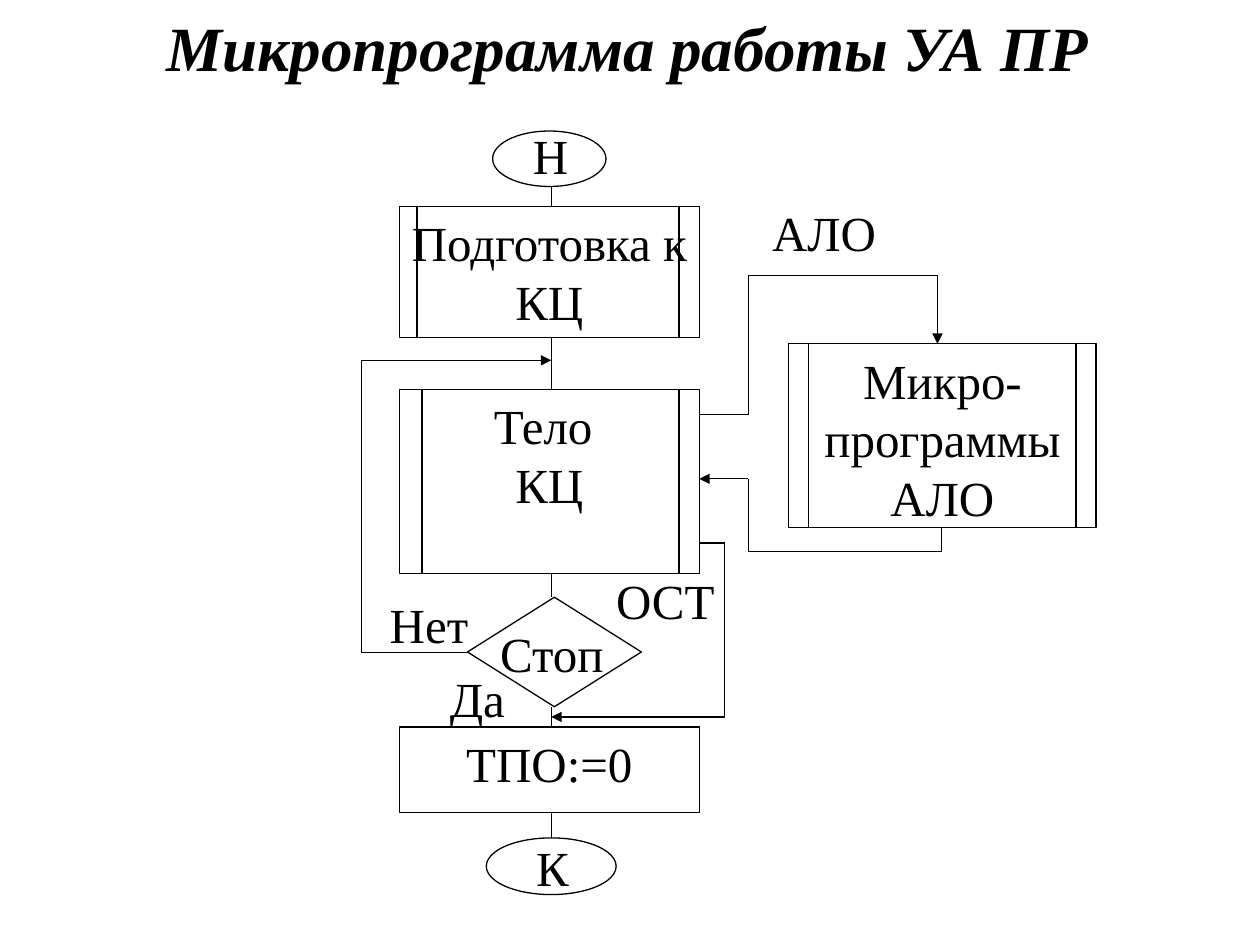
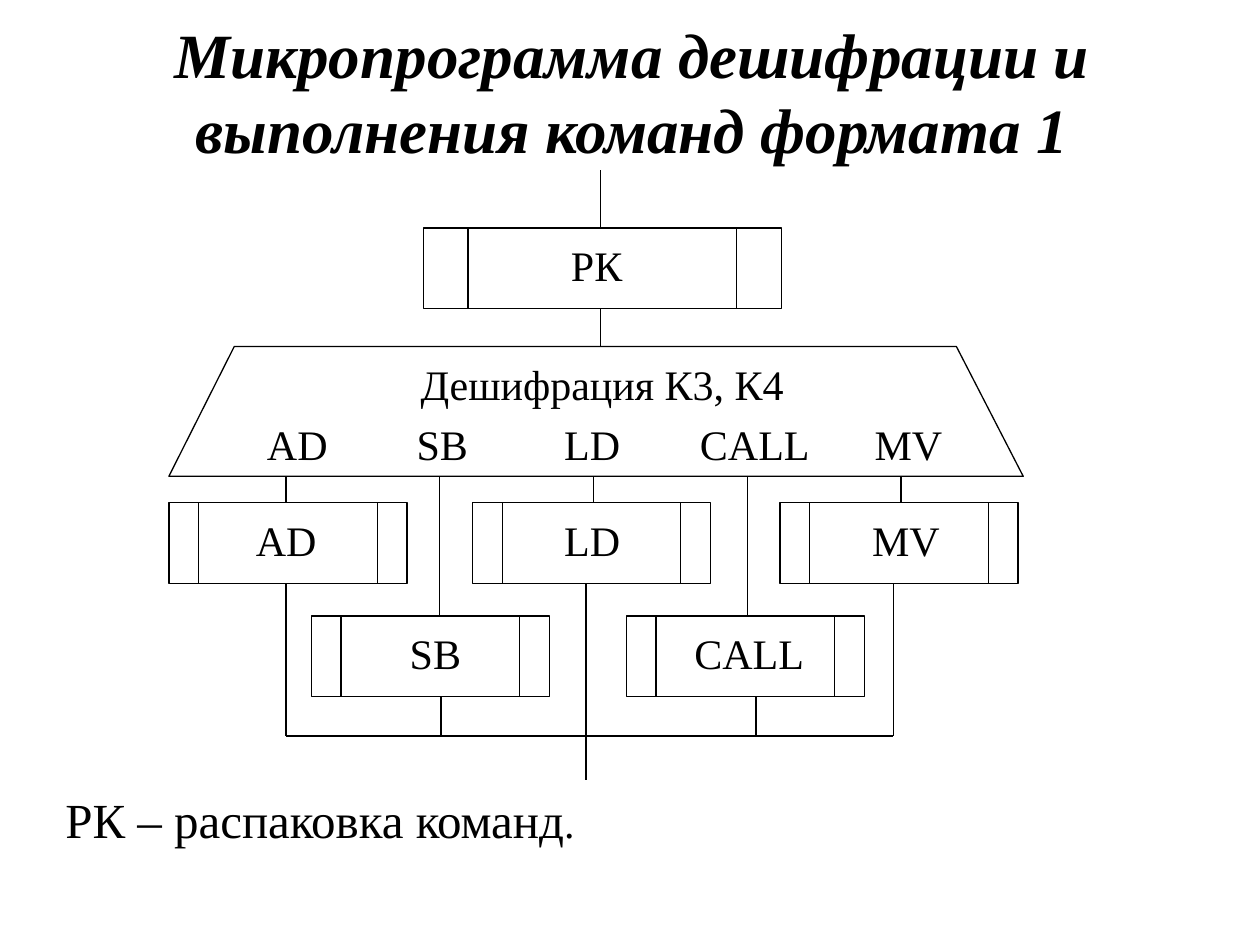
from dataclasses import dataclass
from itertools import pairwise
from typing import Any

from lxml.etree import SubElement
from pptx import Presentation
from pptx.dml.color import RGBColor
from pptx.enum.shapes import MSO_CONNECTOR, MSO_SHAPE
from pptx.enum.text import MSO_ANCHOR, PP_ALIGN
from pptx.oxml.ns import qn
from pptx.util import Pt

INK = RGBColor(0, 0, 0)
FONT = "Times New Roman"
LINE_WIDTH = Pt(0.74)
TITLE_SIZE, FLOW_SIZE, DECODER_SIZE = 36, 28, 24


def write(frame, text, size, align=PP_ALIGN.CENTER):
    frame.word_wrap = True
    frame.text = text
    paragraph = frame.paragraphs[0]
    paragraph.alignment = align
    paragraph.font.name = FONT
    paragraph.font.size = Pt(size)
    paragraph.font.color.rgb = INK
    return paragraph


def outline(shape):
    shape.shadow.inherit = False
    shape.fill.background()
    shape.line.color.rgb = INK
    shape.line.width = LINE_WIDTH


@dataclass
class Region:
    """A part of a slide; all places are points from its left top corner."""
    slide: Any
    left: float
    top: float
    size: int

    def place(self, x, y):
        return Pt(self.left + x), Pt(self.top + y)

    def label(self, text, x, y, width, height=36):
        box = self.slide.shapes.add_textbox(*self.place(x, y), Pt(width), Pt(height))
        return write(box.text_frame, text, self.size)

    def node(self, kind, x, y, width, height, text=None):
        shape = self.slide.shapes.add_shape(kind, *self.place(x, y), Pt(width), Pt(height))
        outline(shape)
        if text:
            shape.text_frame.vertical_anchor = MSO_ANCHOR.TOP
            write(shape.text_frame, text, self.size)

    def route(self, *points, arrow=False):
        """Straight lines through the points, with an optional arrow at the end."""
        for start, end in pairwise(points):
            link = self.slide.shapes.add_connector(
                MSO_CONNECTOR.STRAIGHT, *self.place(*start), *self.place(*end))
            link.line.color.rgb = INK
            link.line.width = LINE_WIDTH
            SubElement(link._element.spPr, qn("a:effectLst"))
        if arrow:
            SubElement(link.line._get_or_add_ln(), qn("a:tailEnd"), type="triangle")

    def vertical(self, x, top, bottom):
        self.route((x, top), (x, bottom))

    def polygon(self, points):
        start, *rest = [self.place(*point) for point in points]
        builder = self.slide.shapes.build_freeform(*start)
        builder.add_line_segments(rest, close=True)
        outline(builder.convert_to_shape())


def add_title(slide, text, left, top, width, height):
    box = slide.shapes.add_textbox(Pt(left), Pt(top), Pt(width), Pt(height))
    box.text_frame.vertical_anchor = MSO_ANCHOR.MIDDLE
    paragraph = write(box.text_frame, text, TITLE_SIZE)
    paragraph.font.bold = paragraph.font.italic = True


def add_main_cycle(slide, left, top, width):
    flow = Region(slide, left, top, FLOW_SIZE)
    axis = 86.8

    # Start and end
    flow.node(MSO_SHAPE.OVAL, 53.3, 0, 64.8, 31.7)
    flow.label("Н", 27.4, -6.5, 118, 43.2)
    flow.node(MSO_SHAPE.OVAL, 49.7, 403.9, 74.2, 32.4)
    flow.label("К", 38.2, 400.3, 98.6)

    # Steps, with the side bars of subroutines
    for text, y, height, bars in [
        ("Подготовка к КЦ", 43.2, 74.9, (10.1, 159.8)),
        ("Тело \vКЦ", 147.6, 105.1, (13, 159.8)),
        ("ТПО:=0", 340.6, 49, ()),
    ]:
        flow.node(MSO_SHAPE.RECTANGLE, 0, y, width, height, text)
        for bar in bars:
            flow.vertical(bar, y, y + height)

    # Stop decision
    flow.node(MSO_SHAPE.DIAMOND, 38.9, 266.4, 99.4, 62.6)
    flow.label("Стоп", 38.9, 277.9, 96.5)
    flow.label("Да", 21.6, 303.8, 46.1)
    flow.label("Нет", -13, 261.4, 59.8)
    flow.label("ОСТ", 106.6, 247.7, 90.7)

    # Links down the axis
    for y, end in [(31.7, 43.2), (118.1, 147.6), (252.7, 266.4),
                   (329, 340.6), (389.6, 403.9)]:
        flow.vertical(axis, y, end)

    # Loop back, and exit past the decision
    flow.route((38.9, 298.1), (-21.6, 298.1), (-21.6, 131), (axis, 131), arrow=True)
    flow.route((width, 235.4), (185.8, 235.4), (185.8, 334.8), (axis, 334.8), arrow=True)


def add_alo_branch(slide, left, top):
    branch = Region(slide, left, top, FLOW_SIZE)
    x, y, width, height = 51.1, 84.2, 175.7, 105.1
    turn = 28.1
    branch.label("АЛО", 25.9, 0, 90.7)
    branch.node(MSO_SHAPE.RECTANGLE, x, y, width, height, "Микро-программы АЛО")
    for bar in (x + 11.5, x + width - 11.5):
        branch.vertical(bar, y, y + height)

    # Call and return
    branch.route((0, 124.6), (turn, 124.6), (turn, 45), (136.1, 45), (136.1, y), arrow=True)
    branch.route((138.5, y + height), (138.5, 203), (turn, 203), (turn, 161.3),
                 (0, 161.3), arrow=True)


def add_decoder(slide, left, top):
    chart = Region(slide, left, top, DECODER_SIZE)
    subroutine = MSO_SHAPE.FLOWCHART_PREDEFINED_PROCESS
    box_width, box_height, label_width = 136.1, 46.1, 110
    entry, base, bus = 246.6, 175, 323.3

    # Unpacking
    chart.vertical(entry, 0, 33.1)
    chart.node(subroutine, 145.4, 33.1, 204.5, box_height)
    chart.label("РК", 172.8, 36, 143.3)
    chart.vertical(entry, 79.2, 101)

    # Decoding
    chart.polygon([(0, base), (37.4, 100.8), (450, 100.8), (488.2, base)])
    chart.label("Дешифрация К3, К4", 58.3, 104.4, 378.7)

    # Commands: output label centre, box left, box label centre, exit
    commands = [
        ("AD", 73.4, 0, 67, 67),
        ("SB", 156.2, 81.4, 152.3, 155.5),
        ("LD", 241.9, 173.5, 241.9, 238.3),
        ("CALL", 334.8, 261.4, 331.6, 335.5),
        ("MV", 422.6, 349.2, 421.2, 414),
    ]
    for i, (name, output, box_left, centre, exit_x) in enumerate(commands):
        y = 254.9 if i % 2 else 190.1
        chart.label(name, output - label_width / 2, 138.2, label_width)
        chart.node(subroutine, box_left, y, box_width, box_height)
        chart.label(name, centre - label_width / 2, y + 3.2, label_width)
        chart.vertical(67 + 87.84 * i, base, y)
        chart.vertical(exit_x, y + box_height, bus)

    # Common exit
    chart.route((67, bus), (414, bus))
    chart.vertical(238.3, bus, 348.5)


def add_legend(slide, left, top, width, height):
    box = slide.shapes.add_textbox(Pt(left), Pt(top), Pt(width), Pt(height))
    legend = write(box.text_frame, "РК – распаковка команд", FLOW_SIZE, PP_ALIGN.JUSTIFY)
    legend.line_spacing = 0.8
    legend.space_before = Pt(6)
    legend._p.get_or_add_pPr().set("marL", str(Pt(27.4)))
    stop = legend.add_run()
    stop.text = "."
    stop.font.size = Pt(DECODER_SIZE)


deck = Presentation()
deck.slide_width, deck.slide_height = Pt(720), Pt(540)
blank = deck.slide_layouts[6]

automaton = deck.slides.add_slide(blank)
add_title(automaton, "Микропрограмма работы УА ПР", 28.1, 3.6, 661, 46.1)
add_main_cycle(automaton, 228.2, 74.9, 171.4)
add_alo_branch(automaton, 399.6, 112.3)

decoding = deck.slides.add_slide(blank)
add_decoder(decoding, 96.5, 97.2)
add_title(decoding, "Микропрограмма дешифрации и выполнения команд формата 1",
          19.4, 6.5, 683.3, 90.7)
add_legend(decoding, 2.9, 454.3, 686.2, 51.1)

deck.save("out.pptx")
